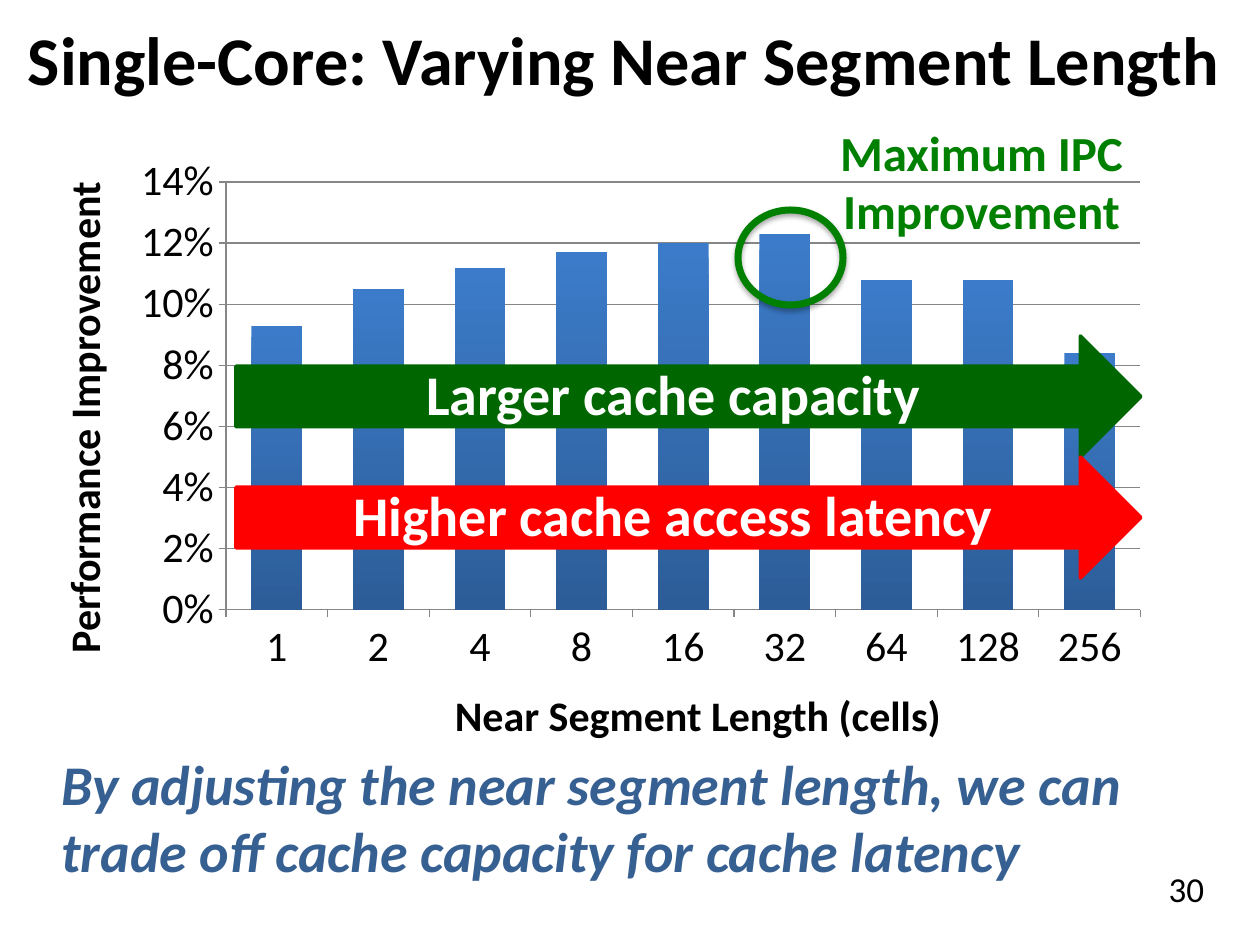
from lxml.etree import SubElement
from pptx import Presentation
from pptx.chart.data import CategoryChartData
from pptx.dml.color import RGBColor
from pptx.enum.chart import XL_CHART_TYPE, XL_TICK_MARK
from pptx.enum.shapes import MSO_SHAPE
from pptx.enum.text import MSO_ANCHOR, PP_ALIGN
from pptx.oxml import parse_xml
from pptx.oxml.ns import nsdecls, qn
from pptx.util import Pt

SCALE = 914400 / 126
BLACK = RGBColor(0x00, 0x00, 0x00)
WHITE = RGBColor(0xFF, 0xFF, 0xFF)
NAVY = RGBColor(0x37, 0x60, 0x92)
GREEN = RGBColor(0x00, 0x80, 0x00)
DARK_GREEN = RGBColor(0x00, 0x66, 0x00)
RED = RGBColor(0xFF, 0x00, 0x00)
GRAY = RGBColor(0x86, 0x86, 0x86)
BAR_TOP = RGBColor(0x3C, 0x7B, 0xC9)
BAR_BOTTOM = RGBColor(0x2C, 0x5D, 0x98)

LENGTHS = ["1", "2", "4", "8", "16", "32", "64", "128", "256"]
IMPROVEMENTS = [0.093, 0.105, 0.112, 0.117, 0.12, 0.123, 0.108, 0.108, 0.084]


def px(length):
    """Turn whole pixels into EMU."""
    return round(length * SCALE)


def place(box):
    """Turn a pixel box into EMU left, top, width and height."""
    return [px(length) for length in box]


def set_format(target, values):
    """Set each attribute in a dict of format values."""
    for name, value in values.items():
        setattr(target, name, value)


def set_font(font, size, color, **values):
    """Give a font its face, size, colour and style."""
    set_format(font, {"name": "Calibri", "size": Pt(size), **values})
    font.color.rgb = color


def write(frame, text, size, color, align, italic=False, bold=True):
    """Write one paragraph into a text frame."""
    para = frame.paragraphs[0]
    para.alignment = align
    span = para.add_run()
    span.text = text
    set_font(span.font, size, color, bold=bold, italic=italic)


def add_label(page, box, text, size, color, align=PP_ALIGN.CENTER, italic=False, bold=True, **layout):
    """Add a wrapped text box."""
    label = page.shapes.add_textbox(*place(box))
    set_format(label.text_frame, {"word_wrap": True, **layout})
    write(label.text_frame, text, size, color, align, italic, bold)
    return label


def add_title(page, box):
    """Add the title in its band."""
    add_label(page, box, "Single-Core: Varying Near Segment Length", 39, BLACK, PP_ALIGN.LEFT,
              vertical_anchor=MSO_ANCHOR.MIDDLE, margin_left=px(28), word_wrap=False)


def set_plot_layout(chart, box):
    """Fix the inner plot area as fractions of the chart."""
    plot_area = chart._chartSpace.chart.plotArea
    for old in plot_area.findall(qn("c:layout")):
        plot_area.remove(old)
    layout = parse_xml(f"<c:layout {nsdecls('c')}><c:manualLayout/></c:layout>")
    settings = {"layoutTarget": "inner", "xMode": "edge", "yMode": "edge",
                **dict(zip("xywh", box))}
    for name, value in settings.items():
        SubElement(layout[0], qn(f"c:{name}")).set("val", str(value))
    plot_area.insert(0, layout)


def add_improvement_chart(page, box):
    """Add the column chart with its two axis titles."""
    left, top, width, height = box
    table = CategoryChartData(number_format="0%")
    table.categories = LENGTHS
    table.add_series("Performance Improvement", IMPROVEMENTS)
    chart = page.shapes.add_chart(XL_CHART_TYPE.COLUMN_CLUSTERED, *place(box), table).chart
    set_format(chart, {"has_legend": False, "has_title": False})
    set_font(chart.font, 24, BLACK)
    set_plot_layout(chart, (0.096, 0.054, 0.836, 0.768))

    set_format(chart.value_axis, {"minimum_scale": 0, "maximum_scale": 0.14, "major_unit": 0.02,
                                  "has_major_gridlines": True})
    set_format(chart.value_axis.tick_labels, {"number_format": "0%",
                                              "number_format_is_linked": False})
    for axis in (chart.category_axis, chart.value_axis):
        axis.major_tick_mark = XL_TICK_MARK.OUTSIDE
        set_font(axis.tick_labels.font, 24, BLACK)
    for part in (chart.category_axis, chart.value_axis, chart.value_axis.major_gridlines):
        part.format.line.color.rgb = GRAY
        part.format.line.width = Pt(0.75)

    set_format(chart.plots[0], {"gap_width": 100, "vary_by_categories": False})
    fill = chart.plots[0].series[0].format.fill
    fill.gradient()
    fill.gradient_angle = 270
    for stop, color in zip(fill.gradient_stops, (BAR_TOP, BAR_BOTTOM)):
        stop.color.rgb = color

    side = add_label(page, (left - 304, top + 230, 541, 71),
                     "Performance Improvement", 24, BLACK)
    side.rotation = 270
    add_label(page, (left + 120, top + 531, 914, 50), "Near Segment Length (cells)", 24, BLACK)


def add_trend_arrow(page, box, text, color):
    """Add a wide block arrow with its caption."""
    arrow = page.shapes.add_shape(MSO_SHAPE.RIGHT_ARROW, *place(box))
    arrow.shadow.inherit = False
    arrow.fill.solid()
    arrow.fill.fore_color.rgb = color
    arrow.line.color.rgb = color
    arrow.line.width = Pt(2)
    set_format(arrow.text_frame, {"margin_top": 0, "word_wrap": True,
                                  "vertical_anchor": MSO_ANCHOR.MIDDLE})
    write(arrow.text_frame, text, 32, WHITE, PP_ALIGN.CENTER)


def add_trends(page, box):
    """Stack the two trend arrows in equal halves of the box."""
    left, top, width, height = box
    trends = [("Larger cache capacity", DARK_GREEN), ("Higher cache access latency", RED)]
    step = height // len(trends)
    for index, (text, color) in enumerate(trends):
        add_trend_arrow(page, (left, top + index * step, width, step), text, color)


def add_maximum(page, box):
    """Ring the tallest column and label it."""
    left, top, width, height = box
    ring = page.shapes.add_shape(MSO_SHAPE.OVAL, *place((left, top + 94, 105, 95)))
    ring.fill.background()
    ring.line.color.rgb = GREEN
    ring.line.width = Pt(4)
    ring.shadow.inherit = False
    effects = ring._element.spPr.find(qn("a:effectLst"))
    effects.append(parse_xml(
        f'<a:outerShdw {nsdecls("a")} blurRad="{Pt(3.1)}" dist="{Pt(1.8)}" dir="5400000" '
        'rotWithShape="0"><a:srgbClr val="000000"><a:alpha val="35000"/></a:srgbClr>'
        '</a:outerShdw>'))
    add_label(page, (left + 86, top, width - 86, 140), "Maximum IPC Improvement", 28, GREEN)


def add_conclusion(page, box):
    """Add the closing statement."""
    add_label(page, box, "By adjusting the near segment length, we can trade off cache capacity "
              "for cache latency", 32, NAVY, PP_ALIGN.LEFT, italic=True)


def main():
    """Build and save the slide."""
    deck = Presentation()
    set_format(deck, {"slide_width": px(1260), "slide_height": px(945)})
    page = deck.slides.add_slide(deck.slide_layouts[6])
    add_label(page, (1113, 861, 147, 84), "30", 20, BLACK, bold=False)
    add_improvement_chart(page, (121, 152, 1094, 557))
    add_title(page, (0, 0, 1260, 116))
    add_conclusion(page, (49, 743, 1186, 149))
    add_trends(page, (236, 336, 905, 242))
    add_maximum(page, (738, 116, 401, 189))
    deck.save("out.pptx")


if __name__ == "__main__":
    main()
